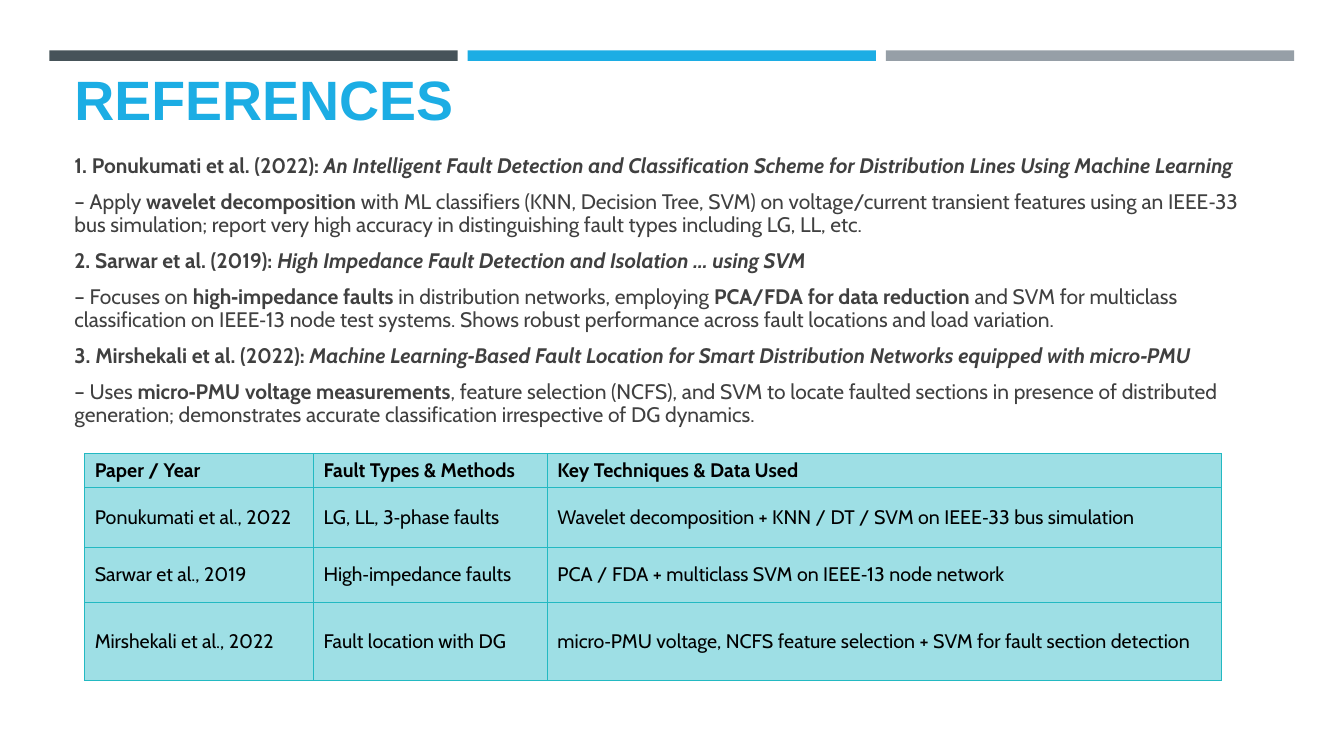
from itertools import accumulate, repeat

from lxml import etree
from pptx import Presentation
from pptx.dml.color import RGBColor
from pptx.enum.shapes import MSO_SHAPE
from pptx.enum.text import MSO_ANCHOR
from pptx.oxml.ns import qn
from pptx.util import Inches, Pt

RECT = MSO_SHAPE.RECTANGLE
MIDDLE = MSO_ANCHOR.MIDDLE
BOTTOM = MSO_ANCHOR.BOTTOM
COLS, ROWS = 40, 30

BARS = ["465359", "1CADE4", "969FA7"]

PAPERS = [
    ("1. Ponukumati et al. (2022): ",
     "An Intelligent Fault Detection and Classification Scheme for Distribution Lines Using Machine Learning",
     "– Apply *wavelet decomposition* with ML classifiers (KNN, Decision Tree, SVM) on voltage/current "
     "transient features using an IEEE‑33 bus simulation; report very high accuracy in distinguishing "
     "fault types including LG, LL, etc."),
    ("2. Sarwar et al. (2019): ",
     "High Impedance Fault Detection and Isolation … using SVM",
     "– Focuses on *high‑impedance faults* in distribution networks, employing *PCA/FDA for data reduction* "
     "and SVM for multiclass classification on IEEE‑13 node test systems. Shows robust performance across "
     "fault locations and load variation."),
    ("3. Mirshekali et al. (2022): ",
     "Machine Learning‑Based Fault Location for Smart Distribution Networks equipped with micro‑PMU",
     "– Uses *micro‑PMU voltage measurements*, feature selection (NCFS), and SVM to locate faulted sections "
     "in presence of distributed generation; demonstrates accurate classification irrespective of DG dynamics."),
]

METHODS = [
    ["Paper / Year", "Fault Types & Methods", "Key Techniques & Data Used"],
    ["Ponukumati et al., 2022", "LG, LL, 3‑phase faults",
     "Wavelet decomposition + KNN / DT / SVM on IEEE‑33 bus simulation"],
    ["Sarwar et al., 2019", "High‑impedance faults",
     "PCA / FDA + multiclass SVM on IEEE‑13 node network"],
    ["Mirshekali et al., 2022", "Fault location with DG",
     "micro‑PMU voltage, NCFS feature selection + SVM for fault section detection"],
]


def tint(code):
    return RGBColor.from_string(code)


class Page:
    head, body = "Arial", "Cabin"
    blue, gray, black = "1CADE4", "404040", "000000"
    cell, edge = "9EDFE5", "23B9C2"

    def __init__(self, deck):
        self.wide = deck.slide_width / COLS
        self.tall = deck.slide_height / ROWS
        self.shapes = deck.slides.add_slide(deck.slide_layouts[6]).shapes

    def area(self, x, y, w, h):
        return [round(n) for n in (x * self.wide, y * self.tall, w * self.wide, h * self.tall)]

    def style(self, run, face, size, color, bold=False, slant=False):
        font = run.font
        font.name, font.size = face, Pt(size)
        font.bold, font.italic = bold, slant
        font.color.rgb = tint(color)

    def bar(self, x, y, w, h, color):
        bar = self.shapes.add_shape(RECT, *self.area(x, y, w, h))
        bar.shadow.inherit = False
        bar.fill.solid()
        bar.fill.fore_color.rgb = tint(color)
        bar.line.fill.background()

    def box(self, x, y, w, h, anchor):
        frame = self.shapes.add_textbox(*self.area(x, y, w, h)).text_frame
        frame.word_wrap = True
        frame.vertical_anchor = anchor
        return frame

    def title(self, text, *place):
        frame = self.box(*place, BOTTOM)
        frame.text = text
        self.style(frame.paragraphs[0].runs[0], self.head, 39.6, self.blue, True)

    def papers(self, items, *place):
        frame = self.box(*place, MIDDLE)
        lines = []
        for ref, name, note in items:
            lines.append([(ref, True, False), (name, True, True)])
            lines.append([(part, i % 2 == 1, False) for i, part in enumerate(note.split("*"))])
        for i, line in enumerate(lines):
            para = frame.add_paragraph() if i else frame.paragraphs[0]
            para.line_spacing = 0.9
            para.space_before = Pt(3.6 if i else 0)
            para.space_after = Pt(6)
            for text, bold, slant in line:
                run = para.add_run()
                run.text = text
                self.style(run, self.body, 15, self.gray, bold, slant)

    def border(self, cell):
        props = cell._tc.get_or_add_tcPr()
        for side in ("lnL", "lnR", "lnT", "lnB"):
            line = etree.SubElement(props, qn("a:" + side), w=str(Pt(1)))
            fill = etree.SubElement(line, qn("a:solidFill"))
            etree.SubElement(fill, qn("a:srgbClr"), val=self.edge)

    def table(self, data, x, y, spans, steps):
        place = self.area(x, y, sum(spans), sum(steps))
        grid = self.shapes.add_table(len(data), len(spans), *place).table
        for col, span in zip(grid.columns, spans):
            col.width = round(span * self.wide)
        for r, (row, step) in enumerate(zip(data, steps)):
            grid.rows[r].height = round(step * self.tall)
            for c, text in enumerate(row):
                cell = grid.cell(r, c)
                cell.text = text
                cell.vertical_anchor = MIDDLE
                self.border(cell)
                cell.fill.solid()
                cell.fill.fore_color.rgb = tint(self.cell)
                run = cell.text_frame.paragraphs[0].runs[0]
                self.style(run, self.body, 14, self.black, r == 0)


def main():
    deck = Presentation()
    deck.slide_width, deck.slide_height = Inches(13.33), Inches(7.5)
    page = Page(deck)
    lefts = accumulate(repeat(12.45), initial=1.47)
    for left, color in zip(lefts, BARS):
        page.bar(left, 2, 12.15, 0.42, color)
    page.title("REFERENCES", 1.92, 3.08, 36.18, 2.32)
    page.papers(PAPERS, 1.92, 4.56, 36.18, 14)
    page.table(METHODS, 2.52, 18, [6.81, 6.96, 20.07], [1.32, 2.4, 2.16, 3.12])
    deck.save("out.pptx")


if __name__ == "__main__":
    main()
